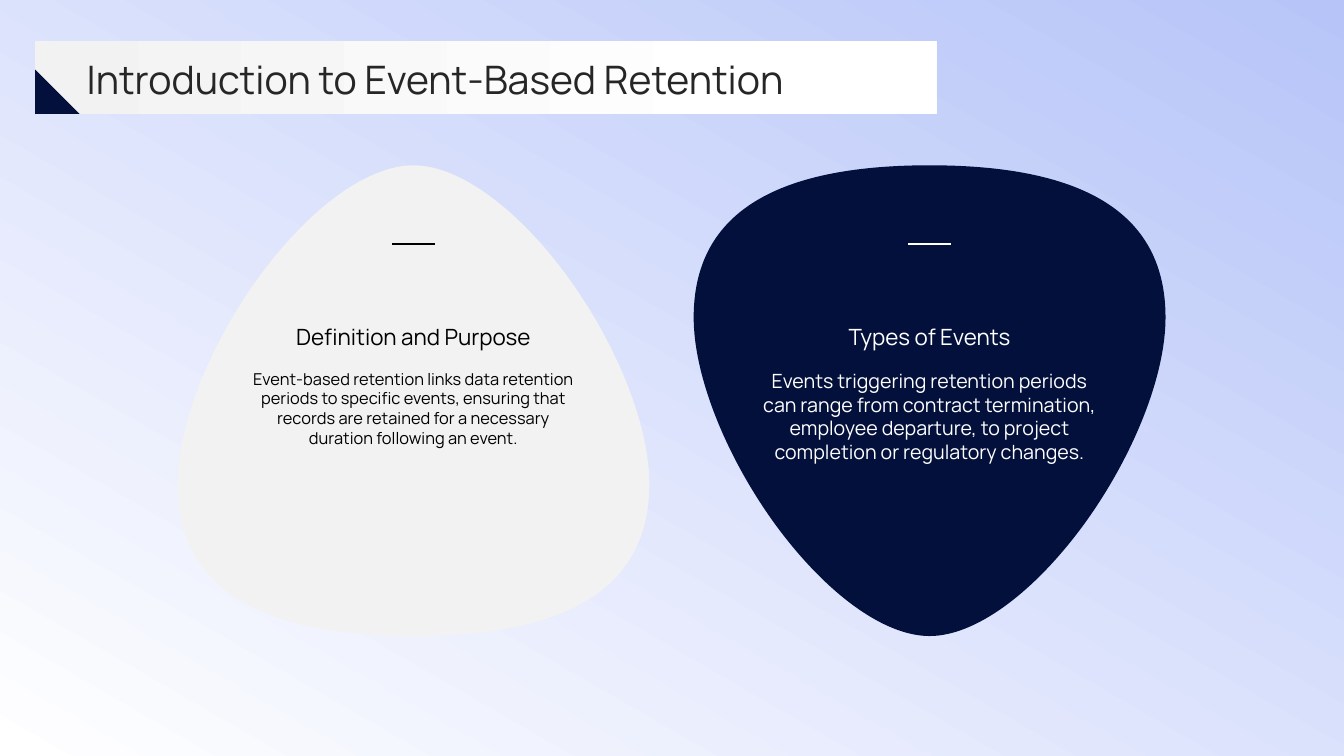
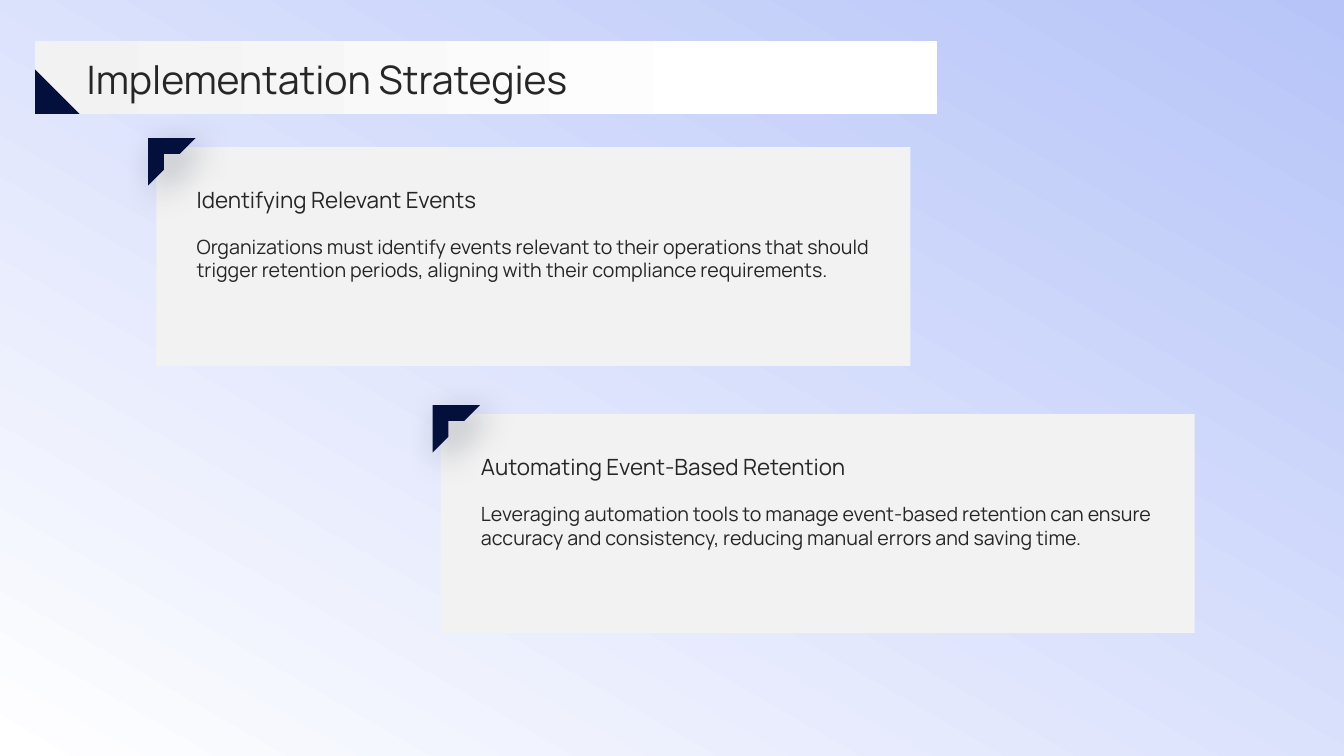
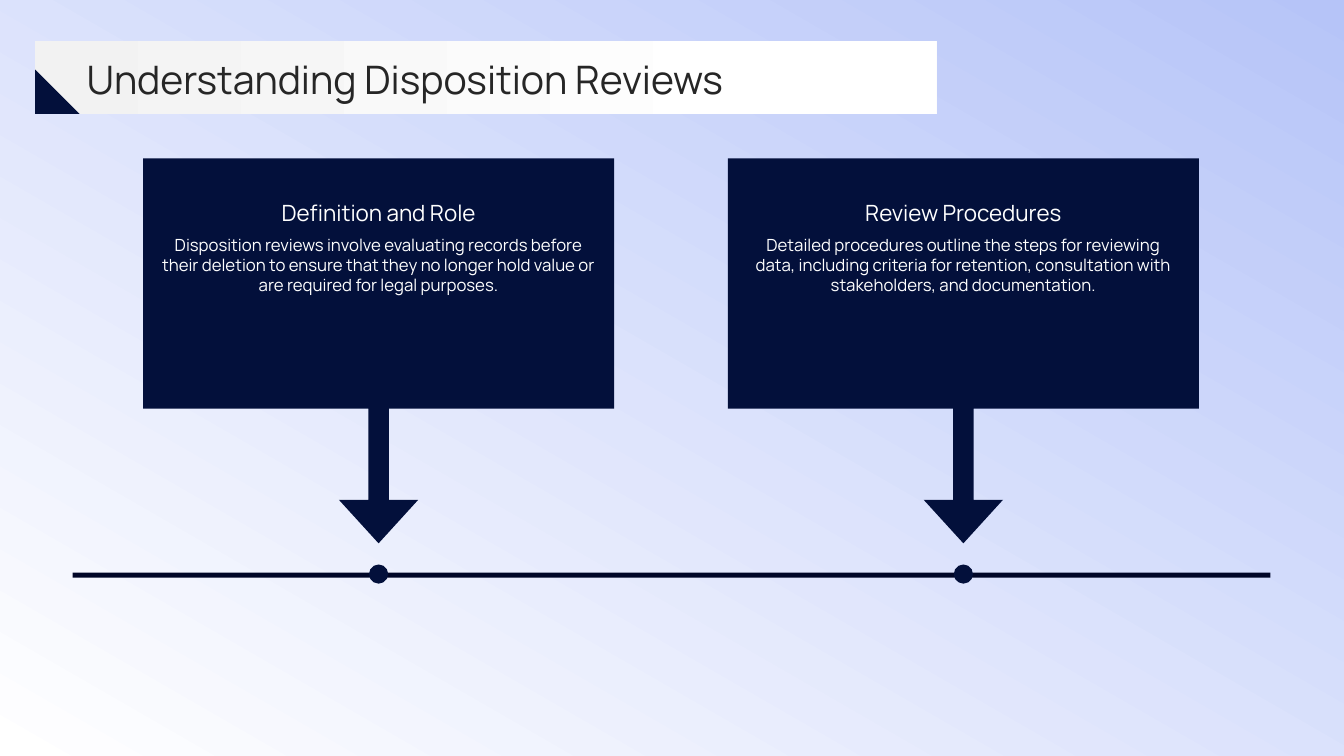
from dataclasses import dataclass

from lxml import etree
from pptx import Presentation
from pptx.dml.color import RGBColor
from pptx.enum.shapes import MSO_CONNECTOR, MSO_SHAPE
from pptx.enum.text import MSO_ANCHOR, PP_ALIGN
from pptx.oxml.ns import qn
from pptx.shapes.autoshape import Shape
from pptx.slide import Slide
from pptx.util import Inches, Pt

NAVY = RGBColor(0x03, 0x10, 0x3B)
DARK_NAVY = RGBColor(0x00, 0x06, 0x27)
SHADOW = RGBColor(0x02, 0x0C, 0x2C)
BLUE = RGBColor(0xB6, 0xC4, 0xF8)
GREY = RGBColor(0xF2, 0xF2, 0xF2)
CHARCOAL = RGBColor(0x26, 0x26, 0x26)
BLACK = RGBColor(0x00, 0x00, 0x00)
WHITE = RGBColor(0xFF, 0xFF, 0xFF)

FONT = "Manrope"
SLIDE_WIDTH, SLIDE_HEIGHT = 13.33, 7.5

# Left half of the rounded triangle, from bottom centre to top centre:
# Bezier points as (distance from the axis, distance from the top).
BLOB_SIZE = 4.67
BLOB_HALF = [
    (0, 4.67), (-1.57, 4.67), (-2.34, 4.17), (-2.34, 3.16), (-2.34, 2.59),
    (-2.03, 1.8), (-1.54, 1.12), (-1.03, 0.42), (-0.45, 0), (0, 0),
]


@dataclass(frozen=True)
class Topic:
    heading: str
    body: str


@dataclass(frozen=True)
class Blob:
    topic: Topic
    center: float
    fill: RGBColor
    ink: RGBColor
    body_width: float
    body_size: float
    point_down: bool


@dataclass(frozen=True)
class Card:
    topic: Topic
    left: float
    top: float


BLOBS = [
    Blob(Topic("Definition and Purpose",
               "Event-based retention links data retention periods to specific events, "
               "ensuring that records are retained for a necessary duration following an event."),
         4.1, GREY, BLACK, 3.36, 11.7, False),
    Blob(Topic("Types of Events",
               "Events triggering retention periods can range from contract termination, "
               "employee departure, to project completion or regulatory changes."),
         9.22, NAVY, WHITE, 3.44, 14, True),
]

CARDS = [
    Card(Topic("Identifying Relevant Events",
               "Organizations must identify events relevant to their operations that should "
               "trigger retention periods, aligning with their compliance requirements."),
         1.55, 1.46),
    Card(Topic("Automating Event-Based Retention",
               "Leveraging automation tools to manage event-based retention can ensure "
               "accuracy and consistency, reducing manual errors and saving time."),
         4.37, 4.11),
]

REVIEWS = [
    Topic("Definition and Role",
          "Disposition reviews involve evaluating records before their deletion to ensure "
          "that they no longer hold value or are required for legal purposes."),
    Topic("Review Procedures",
          "Detailed procedures outline the steps for reviewing data, including criteria "
          "for retention, consultation with stakeholders, and documentation."),
]


def finish(shape: Shape, fill: RGBColor | None) -> None:
    """Remove shadow and outline, and apply a solid fill if one is given."""
    shape.shadow.inherit = False
    shape.line.fill.background()
    if fill is not None:
        shape.fill.solid()
        shape.fill.fore_color.rgb = fill


def add_block(slide: Slide, kind: MSO_SHAPE, left: float, top: float, width: float,
              height: float, fill: RGBColor | None = None) -> Shape:
    shape = slide.shapes.add_shape(
        kind, Inches(left), Inches(top), Inches(width), Inches(height))
    finish(shape, fill)
    return shape


def set_gradient(shape: Shape, start: RGBColor, end: RGBColor,
                 end_position: float, angle: float) -> None:
    shape.fill.gradient()
    shape.fill.gradient_angle = angle
    for stop, color, position in zip(
            shape.fill.gradient_stops, (start, end), (0, end_position)):
        stop.color.rgb = color
        stop.position = position


def add_text(slide: Slide, text: str, left: float, top: float, width: float, height: float,
             size: float, color: RGBColor, align: PP_ALIGN = PP_ALIGN.LEFT,
             anchor: MSO_ANCHOR = MSO_ANCHOR.TOP) -> None:
    box = slide.shapes.add_textbox(Inches(left), Inches(top), Inches(width), Inches(height))
    frame = box.text_frame
    frame.word_wrap = True
    frame.vertical_anchor = anchor
    frame.margin_left = frame.margin_right = frame.margin_top = frame.margin_bottom = 0
    frame.text = text
    para = frame.paragraphs[0]
    para.alignment = align
    font = para.runs[0].font
    font.name, font.size = FONT, Pt(size)
    font.color.rgb = color


def add_background(slide: Slide) -> None:
    backdrop = add_block(slide, MSO_SHAPE.RECTANGLE, 0, 0, SLIDE_WIDTH, SLIDE_HEIGHT)
    set_gradient(backdrop, BLUE, WHITE, 1, 240)


def add_title(slide: Slide, title: str) -> None:
    band = add_block(slide, MSO_SHAPE.ROUNDED_RECTANGLE, 0.35, 0.41, 8.94, 0.72)
    band.adjustments[0] = 0
    set_gradient(band, GREY, WHITE, 0.8, 0)
    add_text(slide, title, 0.86, 0.53, 11.67, 0.51, 28, CHARCOAL, anchor=MSO_ANCHOR.MIDDLE)
    add_block(slide, MSO_SHAPE.RIGHT_TRIANGLE, 0.35, 0.69, 0.44, 0.44, NAVY)


def curve_outline(shape: Shape) -> None:
    """Turn each three straight segments of a freeform into one Bezier curve."""
    segments = list(shape.element.iter(qn("a:lnTo")))
    for index in range(0, len(segments), 3):
        curve = etree.Element(qn("a:cubicBezTo"))
        segments[index].addprevious(curve)
        for segment in segments[index:index + 3]:
            curve.append(segment[0])
            segment.getparent().remove(segment)


def add_blob(slide: Slide, blob: Blob) -> None:
    top = 1.64
    outline = BLOB_HALF + [(-x, y) for x, y in reversed(BLOB_HALF[:-1])]
    points = [(Inches(blob.center + x), Inches(top + (BLOB_SIZE - y if blob.point_down else y)))
              for x, y in outline]
    builder = slide.shapes.build_freeform(*points[0])
    builder.add_line_segments(points[1:], close=True)
    shape = builder.convert_to_shape()
    curve_outline(shape)
    finish(shape, blob.fill)

    rule_y = Inches(2.42)
    rule = slide.shapes.add_connector(
        MSO_CONNECTOR.STRAIGHT, Inches(blob.center - 0.21), rule_y,
        Inches(blob.center + 0.21), rule_y)
    rule.line.color.rgb = blob.ink
    rule.line.width = Pt(1)
    etree.SubElement(rule.element.spPr, qn("a:effectLst"))

    add_text(slide, blob.topic.heading, blob.center - 1.72, 2.58, 3.44, 0.89, 16, blob.ink,
             PP_ALIGN.CENTER, MSO_ANCHOR.BOTTOM)
    add_text(slide, blob.topic.body, blob.center - blob.body_width / 2, 3.66,
             blob.body_width, 1.54, blob.body_size, blob.ink, PP_ALIGN.CENTER)


def add_soft_shadow(shape: Shape) -> None:
    effects = shape.element.spPr.find(qn("a:effectLst"))
    shadow = etree.SubElement(
        effects, qn("a:outerShdw"), blurRad=str(Pt(25)), dist=str(Pt(10)),
        dir=str(45 * 60000), algn="tl", rotWithShape="0")
    color = etree.SubElement(shadow, qn("a:srgbClr"), val=str(SHADOW))
    etree.SubElement(color, qn("a:alpha"), val="30000")


def add_card(slide: Slide, card: Card) -> None:
    left, top = card.left, card.top
    add_block(slide, MSO_SHAPE.RECTANGLE, left, top, 7.48, 2.17, GREY)
    corner = add_block(slide, MSO_SHAPE.HALF_FRAME, left - 0.08, top - 0.09, 0.47, 0.47, NAVY)
    add_soft_shadow(corner)
    add_text(slide, card.topic.heading, left + 0.4, top + 0.17, 6.69, 0.7, 16, CHARCOAL,
             anchor=MSO_ANCHOR.MIDDLE)
    add_text(slide, card.topic.body, left + 0.4, top + 0.87, 6.69, 1.18, 14, CHARCOAL)


def add_review(slide: Slide, topic: Topic, left: float) -> None:
    callout = add_block(slide, MSO_SHAPE.DOWN_ARROW_CALLOUT, left, 1.57, 4.67, 3.82, NAVY)
    for index, value in enumerate((0.053, 0.103, 0.113, 0.65)):
        callout.adjustments[index] = value
    add_block(slide, MSO_SHAPE.OVAL, left + 2.24, 5.6, 0.19, 0.19, NAVY)
    add_text(slide, topic.heading, left + 0.18, 1.76, 4.31, 0.48, 16, WHITE,
             PP_ALIGN.CENTER, MSO_ANCHOR.BOTTOM)
    add_text(slide, topic.body, left + 0.18, 2.33, 4.31, 1.35, 12, WHITE, PP_ALIGN.CENTER)


def draw_introduction(slide: Slide) -> None:
    for blob in BLOBS:
        add_blob(slide, blob)


def draw_strategies(slide: Slide) -> None:
    for card in CARDS:
        add_card(slide, card)


def draw_reviews(slide: Slide) -> None:
    add_block(slide, MSO_SHAPE.RECTANGLE, 0.72, 5.68, 11.88, 0.05, DARK_NAVY)
    for index, topic in enumerate(REVIEWS):
        add_review(slide, topic, 1.42 + 5.8 * index)


def main() -> None:
    deck = Presentation()
    deck.slide_width, deck.slide_height = Inches(SLIDE_WIDTH), Inches(SLIDE_HEIGHT)
    for title, draw_content in (
        ("Introduction to Event-Based Retention", draw_introduction),
        ("Implementation Strategies", draw_strategies),
        ("Understanding Disposition Reviews", draw_reviews),
    ):
        slide = deck.slides.add_slide(deck.slide_layouts[6])
        add_background(slide)
        draw_content(slide)
        add_title(slide, title)
    deck.save("out.pptx")


if __name__ == "__main__":
    main()
